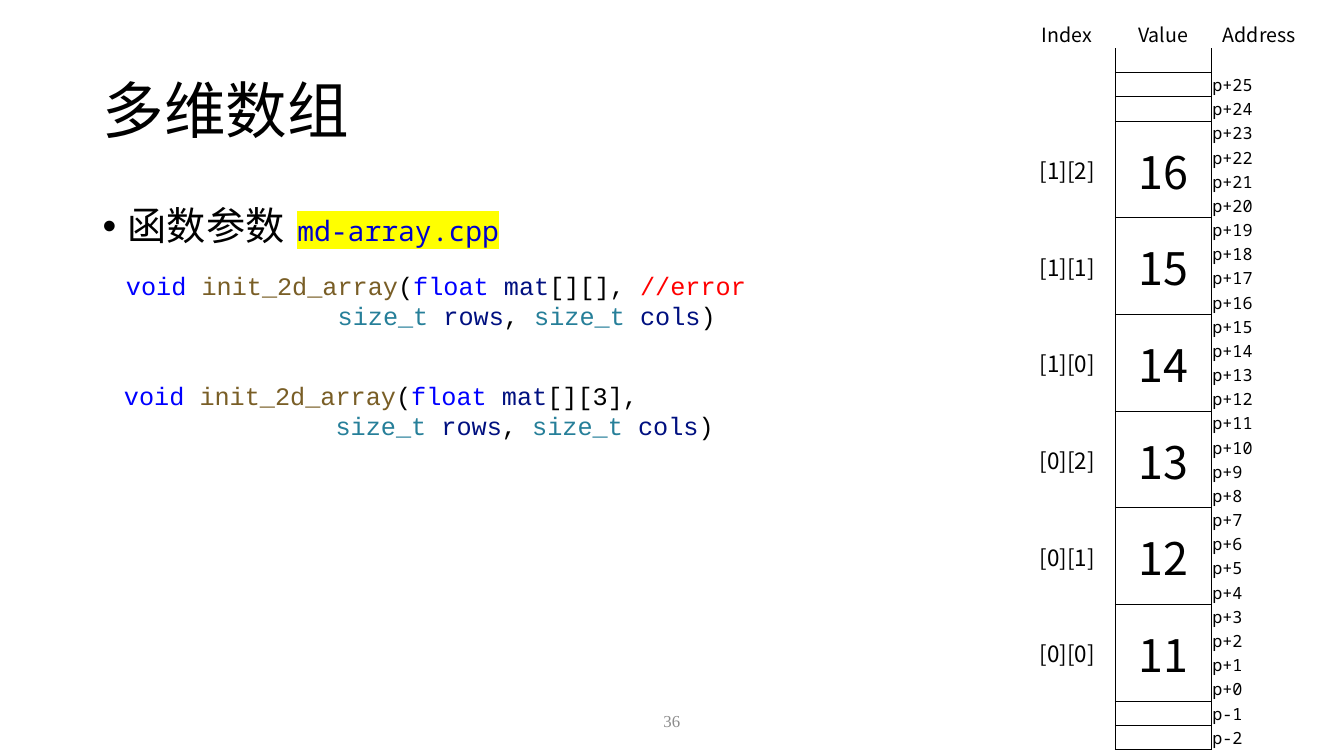
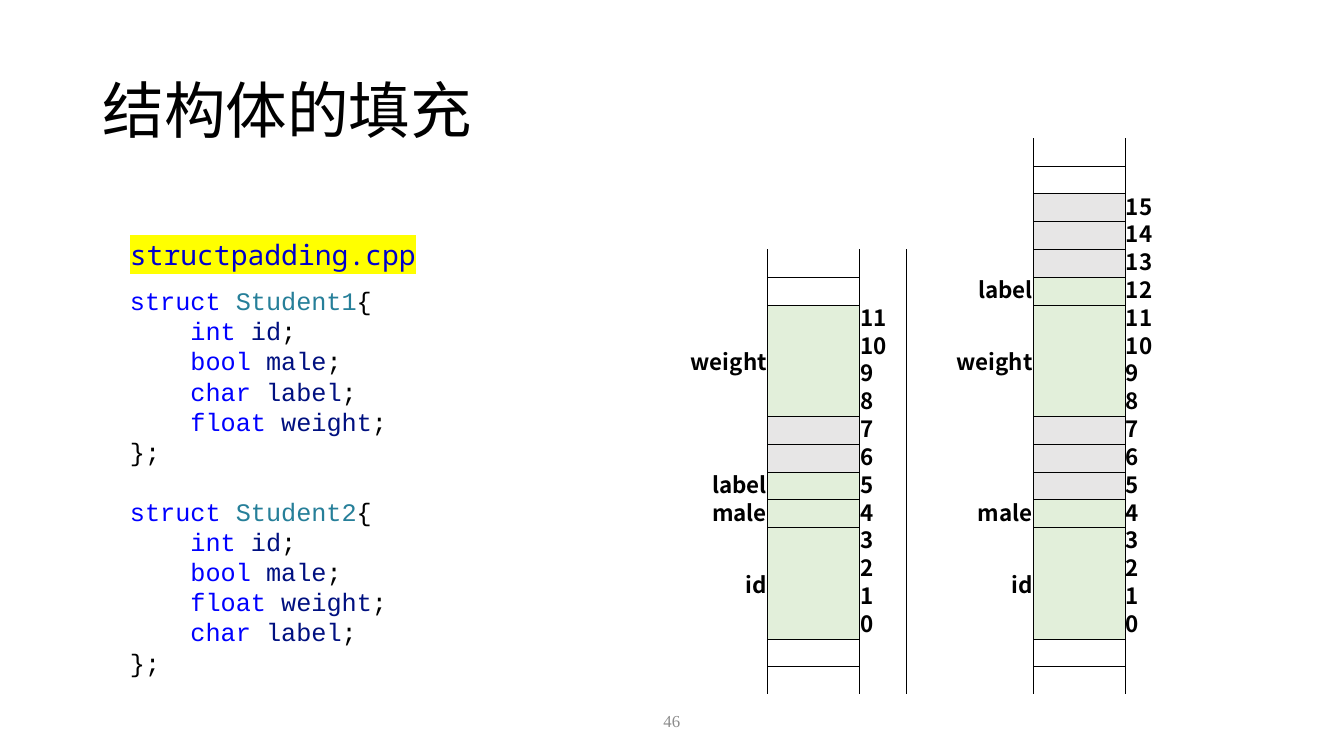
from collections import namedtuple
from dataclasses import dataclass

from lxml.etree import SubElement
from pptx import Presentation
from pptx.dml.color import RGBColor
from pptx.enum.shapes import MSO_SHAPE
from pptx.enum.text import MSO_ANCHOR, MSO_AUTO_SIZE, PP_ALIGN
from pptx.oxml.ns import qn
from pptx.util import Inches, Pt


@dataclass(frozen=True)
class Theme:
    ink: str = "000000"
    paper: str = "FFFFFF"
    muted: str = "8C8C8C"
    keyword: str = "0000FF"
    function: str = "795E26"
    kind: str = "267F99"
    variable: str = "001080"
    error: str = "FF0000"
    file: str = "0000CC"
    marker: str = "FFFF00"
    used: str = "E2EFDA"
    padding: str = "E7E6E6"
    serif: str = "Times New Roman"
    sans: str = "Noto Sans CJK SC"
    mono: str = "Noto Sans Mono"
    code: str = "Courier New"
    title_size: int = 44
    body_size: int = 28
    value_size: int = 32
    file_size: int = 20
    code_size: int = 18
    label_size: int = 16
    heading_size: int = 14
    small_size: int = 12
    blank_size: int = 8
    tight_line: int = 19


THEME = Theme()
WIDTH, HEIGHT = Inches(13.333), Inches(7.5)
PLAIN_TABLE = "{2D5ABB26-0587-4C30-8999-92F81FD0307C}"
Block = namedtuple("Block", "label value rows fill", defaults=("", "", 1, None))


def area(left, top, width, height):
    return [int(share * side / 100) for share, side in
            zip((left, top, width, height), (WIDTH, HEIGHT) * 2)]


def write(para, text, size, font=THEME.serif, color=THEME.ink, bold=False,
          align=PP_ALIGN.LEFT, spacing=None, highlight=None):
    para.alignment = align
    if spacing:
        para.line_spacing = spacing
    span = para.add_run()
    span.text = text
    span.font.size = Pt(size)
    span.font.bold = bold
    span.font.name = font
    span.font.color.rgb = RGBColor.from_string(color)
    properties = span.font._element
    SubElement(properties, qn("a:ea")).set("typeface", THEME.sans)
    if highlight:
        mark = SubElement(properties, qn("a:highlight"))
        SubElement(mark, qn("a:srgbClr")).set("val", highlight)
        properties.find(qn("a:latin")).addprevious(mark)


def place(box, spot):
    box.left, box.top, box.width, box.height = spot


def add_text_box(page, spot, anchor=MSO_ANCHOR.TOP):
    frame = page.shapes.add_textbox(*spot).text_frame
    frame.word_wrap = True
    frame.vertical_anchor = anchor
    return frame


def add_page(deck, layout, title, number):
    page = deck.slides.add_slide(deck.slide_layouts[layout])
    for footer in [box for box in page.placeholders
                   if box.placeholder_format.idx >= 10]:
        footer.element.getparent().remove(footer.element)
    place(page.shapes.title, area(6.88, 5.33, 86.25, 19.33))
    frame = page.shapes.title.text_frame
    frame.vertical_anchor = MSO_ANCHOR.MIDDLE
    write(frame.paragraphs[0], title, THEME.title_size, spacing=0.9)
    frame = add_text_box(page, area(46.95, 92.67, 6.08, 5.33), MSO_ANCHOR.MIDDLE)
    write(frame.paragraphs[0], number, THEME.small_size, color=THEME.muted,
          align=PP_ALIGN.CENTER)
    return page


def add_bullet(page, text):
    body = page.placeholders[1]
    place(body, area(6.88, 26.67, 86.25, 63.47))
    frame = body.text_frame
    frame.auto_size = MSO_AUTO_SIZE.NONE
    para = frame.paragraphs[0]
    properties = para._p.get_or_add_pPr()
    properties.set("marL", str(Inches(0.25)))
    properties.set("indent", str(-Inches(0.25)))
    SubElement(properties, qn("a:buChar")).set("char", "•")
    para.space_before = Pt(0)
    write(para, text, THEME.body_size, spacing=0.9)


def add_file_tag(page, spot, name):
    tag = page.shapes.add_shape(MSO_SHAPE.RECTANGLE, *spot)
    tag.shadow.inherit = False
    tag.fill.solid()
    tag.fill.fore_color.rgb = RGBColor.from_string(THEME.paper)
    tag.line.fill.background()
    frame = tag.text_frame
    frame.word_wrap = False
    frame.vertical_anchor = MSO_ANCHOR.MIDDLE
    write(frame.paragraphs[0], name, THEME.file_size, font=THEME.mono,
          color=THEME.file, highlight=THEME.marker)


def add_code(page, spot, lines):
    frame = add_text_box(page, spot)
    for index, line in enumerate(lines):
        para = frame.add_paragraph() if index else frame.paragraphs[0]
        for text, color in line:
            write(para, text, THEME.code_size, font=THEME.code, color=color)


def function_code(*parameter):
    return [
        [("void ", THEME.keyword), ("init_2d_array", THEME.function),
         ("(", THEME.ink), ("float ", THEME.keyword), ("mat", THEME.variable),
         *parameter],
        [("              ", THEME.ink), ("size_t ", THEME.kind),
         ("rows", THEME.variable), (", ", THEME.ink), ("size_t ", THEME.kind),
         ("cols", THEME.variable), (")", THEME.ink)],
    ]


def struct_code(name, *fields):
    members = [[(f"    {kind} ", THEME.keyword), (field, THEME.variable),
                (";", THEME.ink)]
               for kind, field in (item.split() for item in fields)]
    return [[("struct ", THEME.keyword), (name, THEME.kind), ("{", THEME.ink)],
            *members, [("};", THEME.ink)]]


def set_sizes(lines, attribute, total, weights):
    for line, weight in zip(lines, weights):
        setattr(line, attribute, int(total * weight / sum(weights)))


def add_grid(page, spot, columns, rows):
    table = page.shapes.add_table(len(rows), len(columns), *spot).table
    table.first_row = table.horz_banding = False
    table._tbl.tblPr.find(qn("a:tableStyleId")).text = PLAIN_TABLE
    set_sizes(table.columns, "width", spot[2], columns)
    set_sizes(table.rows, "height", spot[3], rows)
    for cell in table.iter_cells():
        cell.fill.background()
        cell.vertical_anchor = MSO_ANCHOR.MIDDLE
        cell.margin_left = cell.margin_right = cell.margin_top = Inches(0.01)
        cell.margin_bottom = 0
        end = SubElement(cell.text_frame.paragraphs[0]._p, qn("a:endParaRPr"))
        end.set("sz", str(THEME.blank_size * 100))
    return table


def draw_borders(cell, sides):
    properties = cell._tc.get_or_add_tcPr()
    for position, side in enumerate(side for side in "LRTB" if side in sides):
        line = SubElement(properties, qn(f"a:ln{side}"))
        line.set("w", str(Pt(0.5)))
        color = SubElement(SubElement(line, qn("a:solidFill")), qn("a:srgbClr"))
        color.set("val", THEME.ink)
        properties.insert(position, line)


def write_cell(cell, text, size, **options):
    write(cell.text_frame.paragraphs[0], text, size, **options)


def draw_memory(table, column, first_row, blocks, closed=False, **label_format):
    row = first_row
    last_row = first_row + sum(block.rows for block in blocks) - 1
    for block in blocks:
        end = row + block.rows - 1
        for line in range(row, end + 1):
            sides = "LR"
            if line == row and row > first_row:
                sides += "T"
            if line == end and (closed or end < last_row):
                sides += "B"
            draw_borders(table.cell(line, column), "R")
            draw_borders(table.cell(line, column + 1), sides)
            draw_borders(table.cell(line, column + 2), "L")
        label, value = (table.cell(row, column + step) for step in (0, 1))
        if block.rows > 1:
            label.merge(table.cell(end, column))
            value.merge(table.cell(end, column + 1))
        if block.fill:
            value.fill.solid()
            value.fill.fore_color.rgb = RGBColor.from_string(block.fill)
        if block.label:
            spacing = None if block.rows > 1 else Pt(THEME.tight_line)
            write_cell(label, block.label, THEME.label_size, font=THEME.sans,
                       spacing=spacing, **label_format)
        if block.value:
            write_cell(value, block.value, THEME.value_size, font=THEME.sans,
                       align=PP_ALIGN.CENTER)
        row = end + 1


def write_addresses(table, column, first_row, addresses, size, **options):
    for row, address in enumerate(addresses, first_row):
        write_cell(table.cell(row, column), address, size, **options)


def build_array_page(deck):
    page = add_page(deck, 1, "多维数组", "36")
    add_bullet(page, "函数参数")
    table = add_grid(page, area(75.83, 2.53, 21.45, 96.67), [1] * 3,
                     [0.29] + [0.24] * 29)
    for column, heading in enumerate(("Index", "Value", "Address")):
        write_cell(table.cell(0, column), heading, THEME.heading_size,
                   font=THEME.sans, align=PP_ALIGN.CENTER)
    elements = [Block(f"[{index // 3}][{index % 3}]", str(11 + index), 4)
                for index in reversed(range(6))]
    draw_memory(table, 0, 1, [Block()] * 3 + elements + [Block()] * 2,
                closed=True, align=PP_ALIGN.CENTER)
    write_addresses(table, 2, 2, [f"p{offset:+d}" for offset in range(25, -3, -1)],
                    THEME.small_size, font=THEME.mono)
    add_code(page, area(8.63, 35.07, 50, 9.47),
             function_code(("[][], ", THEME.ink), ("//error", THEME.error)))
    add_code(page, area(8.48, 49.6, 50, 9.47),
             function_code(("[][3],", THEME.ink)))
    add_file_tag(page, area(21.38, 27.47, 16.65, 5.87), "md-array.cpp")


def build_padding_page(deck):
    page = add_page(deck, 5, "结构体的填充", "46")
    add_code(page, area(8.93, 37.07, 26, 25.6),
             struct_code("Student1", "int id", "bool male", "char label",
                         "float weight"))
    add_code(page, area(8.93, 64.93, 26, 25.6),
             struct_code("Student2", "int id", "bool male", "float weight",
                         "char label"))
    add_file_tag(page, area(8.93, 30.67, 22.95, 5.87), "structpadding.cpp")
    table = add_grid(page, area(50.33, 18.27, 36.75, 73.6),
                     [0.91, 0.91, 0.47, 0.36, 0.91, 0.91, 0.45], [1] * 20)
    free, gap = [Block()] * 2, Block(fill=THEME.padding)
    member = {name: Block(name, "", rows, THEME.used) for name, rows in
              (("id", 4), ("male", 1), ("label", 1), ("weight", 4))}
    first = [member["weight"], gap, gap, member["label"], member["male"],
             member["id"]]
    second = [gap, gap, gap, member["label"], member["weight"], gap, gap, gap,
              member["male"], member["id"]]
    for column, blocks in ((0, first), (4, second)):
        size = sum(block.rows for block in blocks)
        draw_memory(table, column, 16 - size, free + blocks + free,
                    bold=True, align=PP_ALIGN.RIGHT)
        write_addresses(table, column + 2, 18 - size,
                        [str(offset) for offset in reversed(range(size))],
                        THEME.label_size, font=THEME.sans, bold=True,
                        spacing=Pt(THEME.tight_line))


def main():
    deck = Presentation()
    deck.slide_width, deck.slide_height = WIDTH, HEIGHT
    build_array_page(deck)
    build_padding_page(deck)
    deck.save("out.pptx")


if __name__ == "__main__":
    main()
